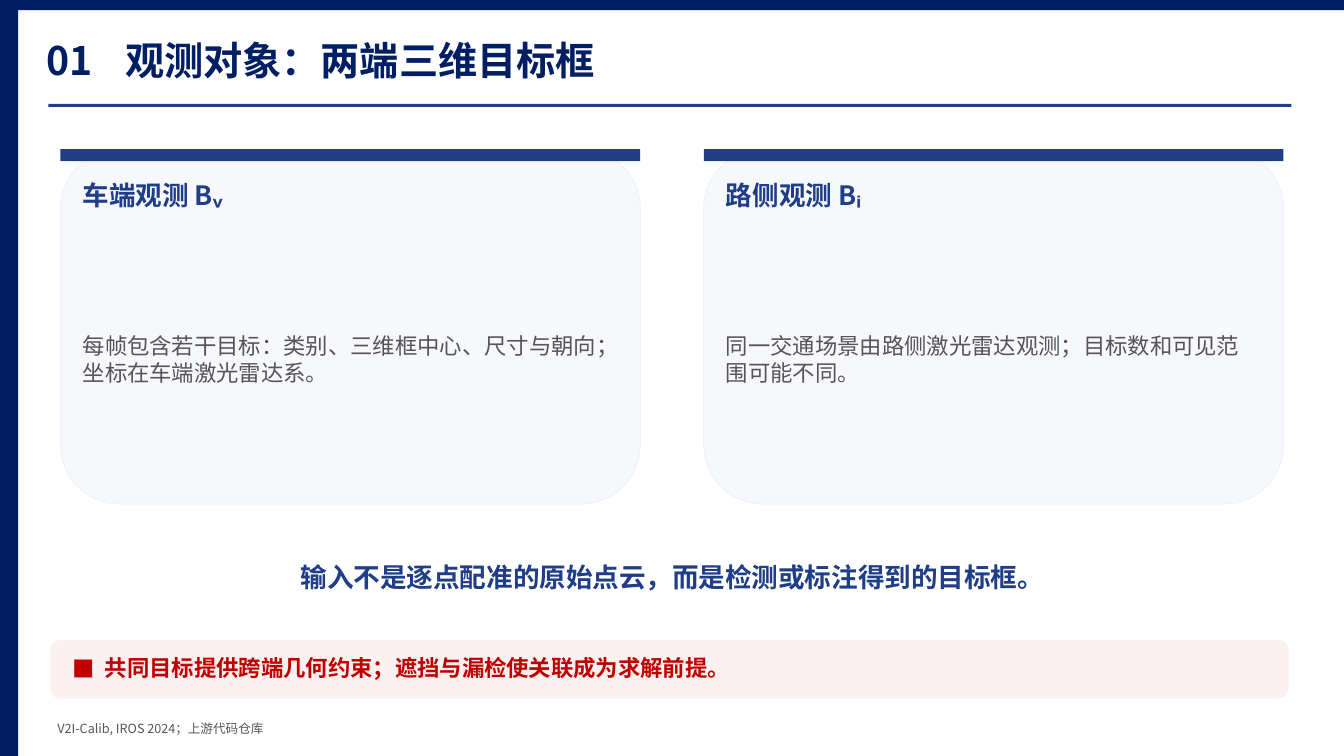
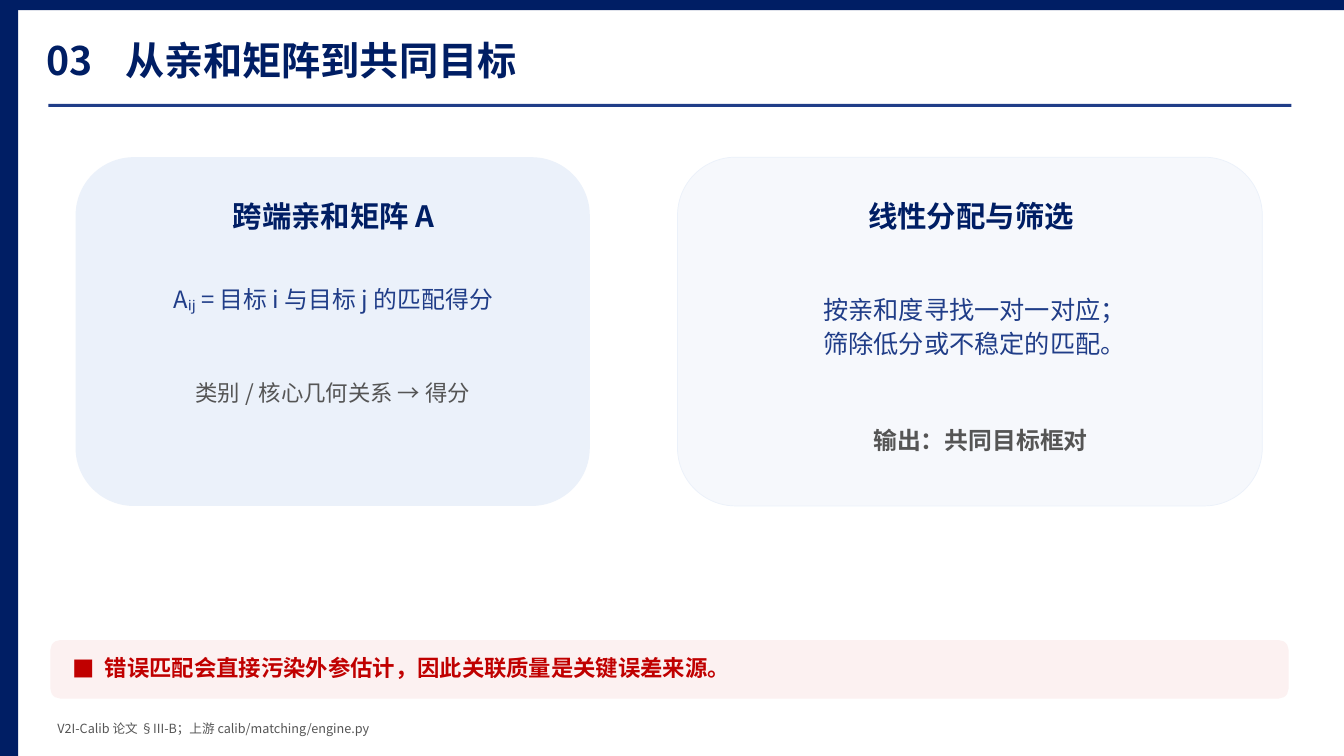
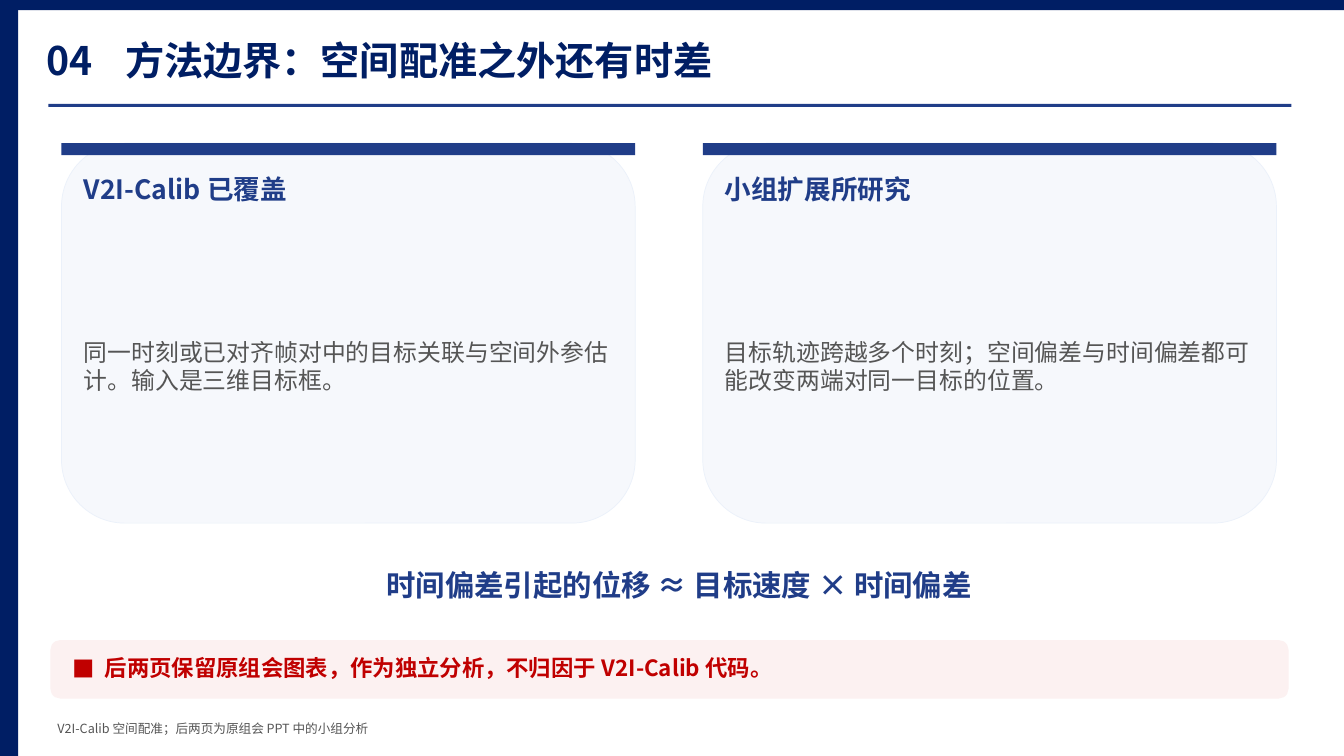
"""Build three slides on cross-view target matching and calibration."""
from lxml.etree import SubElement
from pptx import Presentation
from pptx.dml.color import RGBColor
from pptx.enum.shapes import MSO_SHAPE as Shape
from pptx.enum.text import MSO_ANCHOR as Anchor, MSO_AUTO_SIZE as Fit, PP_ALIGN as Align
from pptx.oxml.ns import qn
from pptx.util import Inches, Pt

NAVY = RGBColor(0x00, 0x1E, 0x64)
BLUE = RGBColor(0x20, 0x3D, 0x88)
PALE = RGBColor(0xEB, 0xF1, 0xFA)
MIST = RGBColor(0xF6, 0xF8, 0xFC)
GRAY = RGBColor(0x55, 0x55, 0x55)
RED = RGBColor(0xC0, 0x00, 0x00)
ROSE = RGBColor(0xFC, 0xF1, 0xF1)
FONT = "Noto Sans CJK SC"


def draw(slide, kind, x, y, w, h, fill, edge=None):
    shape = slide.shapes.add_shape(kind, Inches(x), Inches(y), Inches(w), Inches(h))
    shape.shadow.inherit = False
    shape.fill.solid()
    shape.fill.fore_color.rgb = fill
    if edge is None:
        shape.line.fill.background()
    else:
        shape.line.color.rgb = edge
        shape.line.width = Pt(0.5)


def write(slide, x, y, w, h, text, size, color, bold=False, align=Align.LEFT, bullet=None):
    frame = slide.shapes.add_textbox(Inches(x), Inches(y), Inches(w), Inches(h)).text_frame
    frame.word_wrap = True
    frame.auto_size = Fit.SHAPE_TO_FIT_TEXT
    frame.vertical_anchor = Anchor.MIDDLE
    frame.margin_left = frame.margin_right = Inches(0.04)
    frame.margin_top = frame.margin_bottom = Inches(0.04)
    frame.text = text
    for para in frame.paragraphs:
        para.alignment = align
        para.space_after = Pt(3)
        props = para._p.get_or_add_pPr()
        if bullet:
            props.set("marL", str(Inches(0.32)))
            props.set("indent", str(-Inches(0.32)))
            SubElement(props, qn("a:buFont")).set("typeface", FONT)
            SubElement(props, qn("a:buChar")).set("char", bullet)
        font = para.font
        font.name = FONT
        font.size = Pt(size)
        font.bold = bold
        font.color.rgb = color
        SubElement(props.find(qn("a:defRPr")), qn("a:ea")).set("typeface", FONT)


deck = Presentation()
deck.slide_width = Inches(13.33)
deck.slide_height = Inches(7.5)

pages = [
    ("01", "观测对象：两端三维目标框",
     "共同目标提供跨端几何约束；遮挡与漏检使关联成为求解前提。",
     "V2I-Calib, IROS 2024；上游代码仓库"),
    ("03", "从亲和矩阵到共同目标",
     "错误匹配会直接污染外参估计，因此关联质量是关键误差来源。",
     "V2I-Calib 论文 §III-B；上游 calib/matching/engine.py"),
    ("04", "方法边界：空间配准之外还有时差",
     "后两页保留原组会图表，作为独立分析，不归因于 V2I-Calib 代码。",
     "V2I-Calib 空间配准；后两页为原组会 PPT 中的小组分析"),
]
slides = []
for num, title, note, source in pages:
    slide = deck.slides.add_slide(deck.slide_layouts[6])
    slides.append(slide)
    draw(slide, Shape.RECTANGLE, 0, 0, 0.18, 7.5, NAVY)
    draw(slide, Shape.RECTANGLE, 0.18, 0, 13.15, 0.1, NAVY)
    write(slide, 0.42, 0.32, 0.72, 0.55, num, 28, NAVY, True)
    write(slide, 1.2, 0.3, 11.45, 0.58, title, 28, NAVY, True)
    draw(slide, Shape.RECTANGLE, 0.48, 1.03, 12.33, 0.03, BLUE)
    write(slide, 0.53, 7.12, 11.9, 0.22, source, 9, GRAY)
    draw(slide, Shape.ROUNDED_RECTANGLE, 0.5, 6.35, 12.28, 0.58, ROSE)
    write(slide, 0.68, 6.43, 11.95, 0.39, note, 16, RED, True, bullet="■")
first, second, third = slides

pairs = [
    (first, 0.6, 6.38, 1.48, 5.75, 3.52, 16, [
        ("车端观测 Bᵥ", "每帧包含若干目标：类别、三维框中心、尺寸与朝向；坐标在车端激光雷达系。"),
        ("路侧观测 Bᵢ", "同一交通场景由路侧激光雷达观测；目标数和可见范围可能不同。")]),
    (third, 0.61, 6.36, 1.42, 5.69, 3.77, 17, [
        ("V2I-Calib 已覆盖", "同一时刻或已对齐帧对中的目标关联与空间外参估计。输入是三维目标框。"),
        ("小组扩展所研究", "目标轨迹跨越多个时刻；空间偏差与时间偏差都可能改变两端对同一目标的位置。")]),
]
for slide, left, step, top, w, h, size, cards in pairs:
    for i, (head, body) in enumerate(cards):
        x = left + i * step
        draw(slide, Shape.ROUNDED_RECTANGLE, x, top, w, h, MIST, PALE)
        draw(slide, Shape.RECTANGLE, x, top, w, 0.12, BLUE)
        write(slide, x + 0.18, top + 0.24, w - 0.36, 0.42, head, 19, BLUE, True)
        write(slide, x + 0.18, top + 0.77, w - 0.36, h - 0.89, body, size, GRAY)

draw(second, Shape.ROUNDED_RECTANGLE, 0.75, 1.56, 5.1, 3.46, PALE)
draw(second, Shape.ROUNDED_RECTANGLE, 6.72, 1.56, 5.8, 3.46, MIST, PALE)

lines = [
    (first, 0.72, 5.48, 11.9, 0.48, "输入不是逐点配准的原始点云，而是检测或标注得到的目标框。", 19, BLUE, True),
    (second, 1.11, 1.93, 4.4, 0.43, "跨端亲和矩阵 A", 21, NAVY, True),
    (second, 1.08, 2.7, 4.45, 0.53, "Aᵢⱼ = 目标 i 与目标 j 的匹配得分", 17, BLUE, False),
    (second, 1.15, 3.65, 4.3, 0.48, "类别 / 核心几何关系 → 得分", 16, GRAY, False),
    (second, 7.04, 1.93, 5.18, 0.43, "线性分配与筛选", 21, NAVY, True),
    (second, 7.16, 2.65, 5.01, 1.18, "按亲和度寻找一对一对应；\n筛除低分或不稳定的匹配。", 18, BLUE, False),
    (second, 7.25, 4.17, 4.95, 0.4, "输出：共同目标框对", 17, GRAY, True),
    (third, 0.95, 5.57, 11.57, 0.46, "时间偏差引起的位移 ≈ 目标速度 × 时间偏差", 21, BLUE, True),
]
for line in lines:
    write(*line, align=Align.CENTER)

deck.save("out.pptx")
